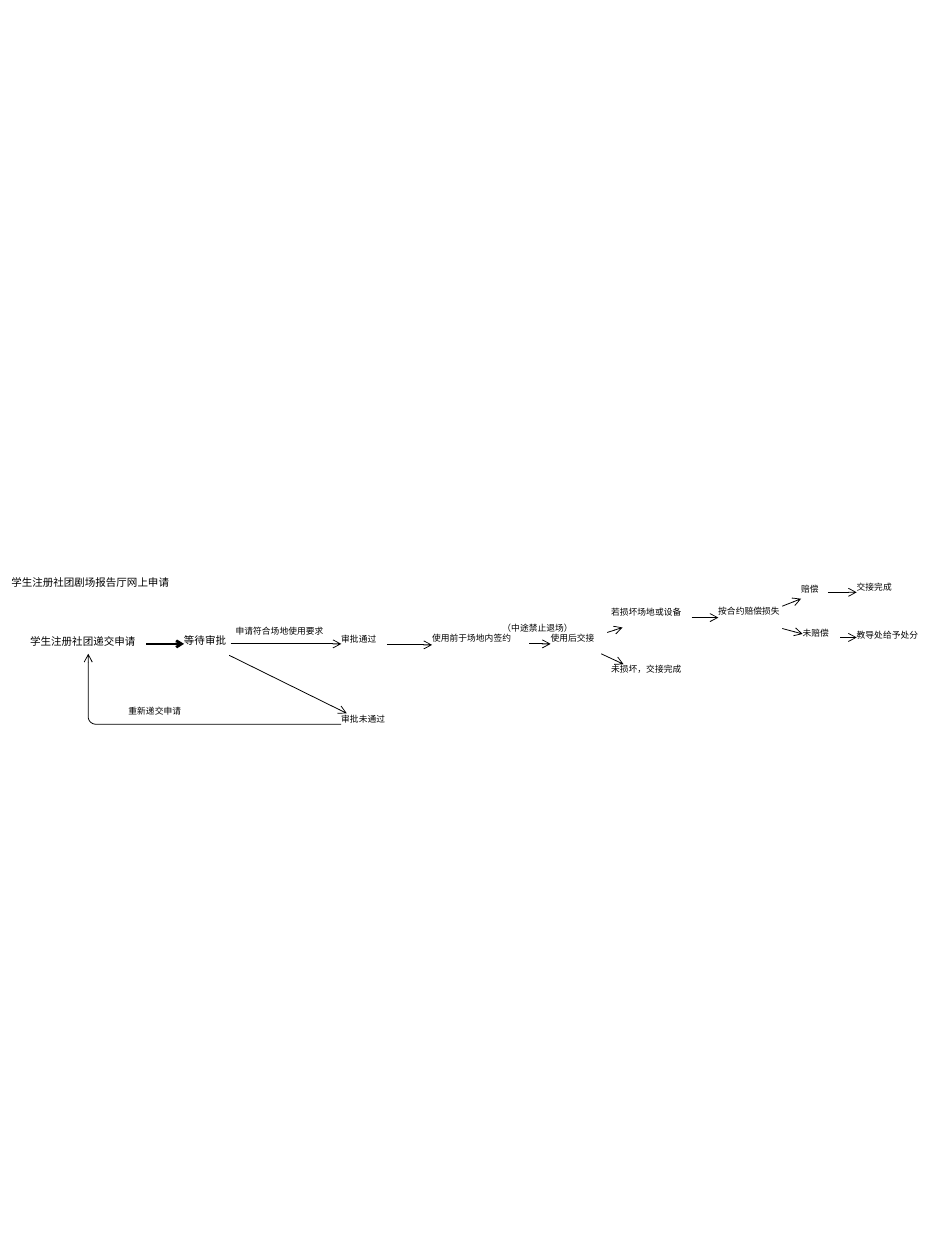
"""Draw the flow of a theatre booking request by a student club."""
from dataclasses import dataclass
from math import cos, pi, sin

from lxml.etree import SubElement as Sub
from pptx import Presentation
from pptx.dml.color import RGBColor as Rgb
from pptx.enum.shapes import MSO_CONNECTOR as Link
from pptx.oxml.ns import qn
from pptx.util import Cm, Pt


@dataclass(frozen=True)
class Theme:
    ink: Rgb = Rgb(0, 0, 0)
    font: str = "Arial"
    large: float = 6
    small: float = 5
    thin: float = 0.45
    bold: float = 1.33


def ink_line(shape, width):
    shape.line.color.rgb = theme.ink
    shape.line.width = Pt(width)
    props = shape._element.spPr
    Sub(props.get_or_add_ln(), qn("a:tailEnd"), type="arrow", w="sm", len="sm")


theme = Theme()
deck = Presentation()
deck.slide_width, deck.slide_height = Cm(19.05), Cm(25.4)
slide = deck.slides.add_slide(deck.slide_layouts[6])
shapes = slide.shapes

labels = [
    ("学生注册社团剧场报告厅网上申请", 0.23, 11.61, 4.7, theme.large),
    ("学生注册社团递交申请", 0.61, 12.8, 2.34, theme.large),
    ("等待审批", 3.71, 12.78, 0.94, theme.large),
    ("审批通过", 6.88, 12.78, 0.91, theme.small),
    ("审批未通过", 6.88, 14.38, 1.12, theme.small),
    ("申请符合场地使用要求", 4.75, 12.62, 2.03, theme.small),
    ("使用前于场地内签约", 8.71, 12.75, 1.96, theme.small),
    ("使用后交接", 11.1, 12.75, 1.14, theme.small),
    ("（中途禁止退场）", 10.13, 12.55, 1.52, theme.small),
    ("若损坏场地或设备", 12.32, 12.24, 1.65, theme.small),
    ("未损坏，交接完成", 12.32, 13.39, 1.65, theme.small),
    ("按合约赔偿损失", 14.48, 12.22, 1.55, theme.small),
    ("赔偿", 16.15, 11.76, 0.56, theme.small),
    ("未赔偿", 16.18, 12.65, 0.76, theme.small),
    ("交接完成", 17.27, 11.73, 1.35, theme.small),
    ("教导处给予处分", 17.27, 12.7, 1.55, theme.small),
    ("重新递交申请", 2.59, 14.22, 1.42, theme.small),
]
for text, left, top, width, size in labels:
    height = Pt(size * 1.2)
    frame = shapes.add_textbox(Cm(left), Cm(top), Cm(width), height).text_frame
    frame.margin_left = frame.margin_right = 0
    frame.margin_top = frame.margin_bottom = 0
    frame.word_wrap = True
    para = frame.paragraphs[0]
    para.text = text
    para.font.name = theme.font
    para.font.size = Pt(size)
    para.font.color.rgb = theme.ink

arrows = [
    (2.95, 12.98, 3.71, 12.98, theme.bold),
    (4.65, 12.98, 6.88, 12.98, theme.thin),
    (4.62, 13.21, 6.99, 14.38, theme.thin),
    (7.8, 13, 8.71, 13, theme.thin),
    (10.67, 12.98, 11.1, 12.98, theme.thin),
    (12.24, 12.75, 12.55, 12.65, theme.thin),
    (12.12, 13.18, 12.57, 13.39, theme.thin),
    (13.94, 12.45, 14.48, 12.45, theme.thin),
    (15.77, 12.22, 16.15, 12.07, theme.thin),
    (15.77, 12.67, 16.18, 12.78, theme.thin),
    (16.69, 11.94, 17.27, 11.94, theme.thin),
    (16.94, 12.85, 17.27, 12.85, theme.thin),
]
for *ends, width in arrows:
    arrow = shapes.add_connector(Link.STRAIGHT, *map(Cm, ends))
    ink_line(arrow, width)
    Sub(arrow._element.spPr, qn("a:effectLst"))

left, base, bend, steps = 1.78, 14.6, 0.15, 8
turns = [step * pi / 2 / steps for step in range(steps + 1)]
route = [
    (left + bend - bend * sin(turn), base - bend + bend * cos(turn))
    for turn in turns
] + [(left, 13.18)]
pen = shapes.build_freeform(Cm(6.88), Cm(base))
pen.add_line_segments([(Cm(x), Cm(y)) for x, y in route], close=False)
retry = pen.convert_to_shape()
retry.fill.background()
retry.shadow.inherit = False
ink_line(retry, theme.thin)

deck.save("out.pptx")
